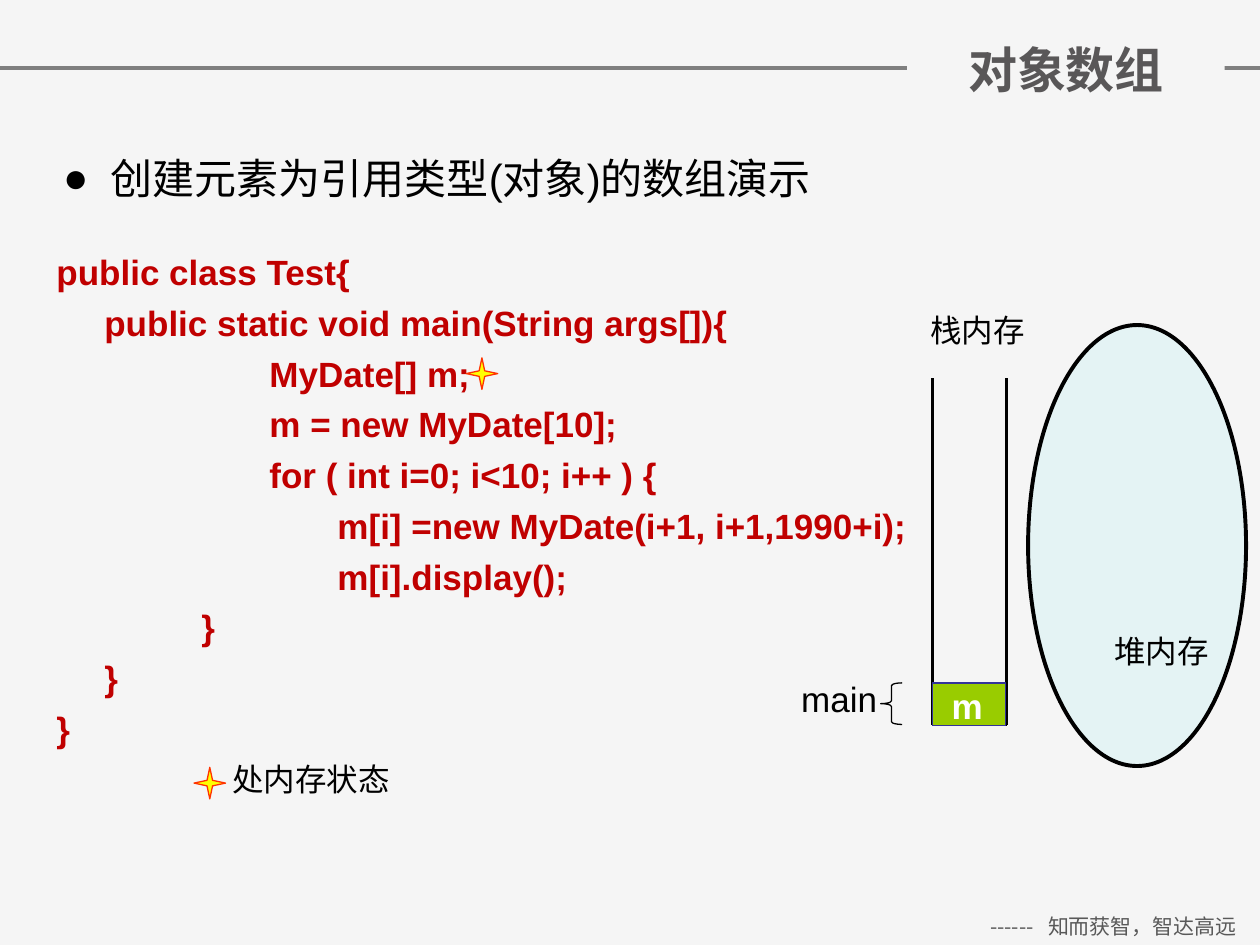
"""Build the object array slide with its code sample and memory diagram."""
import pptx
import pptx.dml.color
import pptx.enum.shapes
import pptx.enum.text
import pptx.oxml.ns
import pptx.util
from lxml import etree

Inches = pptx.util.Inches
Pt = pptx.util.Pt
RGBColor = pptx.dml.color.RGBColor
Shape = pptx.enum.shapes.MSO_SHAPE
Align = pptx.enum.text.PP_ALIGN
Anchor = pptx.enum.text.MSO_ANCHOR
qn = pptx.oxml.ns.qn

BACKGROUND = RGBColor(0xF5, 0xF5, 0xF5)
RULE_GREY = RGBColor(0x7F, 0x7F, 0x7F)
TITLE_GREY = RGBColor(0x59, 0x57, 0x58)
FOOTER_GREY = RGBColor(0x59, 0x59, 0x59)
BLACK = RGBColor(0, 0, 0)
WHITE = RGBColor(0xFF, 0xFF, 0xFF)
CODE_RED = RGBColor(0xC0, 0, 0)
FRAME_GREEN = RGBColor(0x99, 0xCC, 0)
FRAME_BLUE = RGBColor(0x33, 0x33, 0x99)
HEAP_BLUE = RGBColor(0xE4, 0xF3, 0xF4)
STAR_YELLOW = RGBColor(0xFF, 0xFF, 0)
STAR_RED = RGBColor(0xFF, 0x33, 0)

CHINESE = "Noto Sans CJK SC"
STACK_LEFT, STACK_RIGHT, STACK_TOP, STACK_BOTTOM = 7.4, 7.99, 3, 5.75
STAR_SIZE = 0.25

CODE = [
    (0.31, "public class Test{"),
    (0.69, "public static void main(String args[]){"),
    (2, "MyDate[] m;"),
    (2, "m = new MyDate[10];"),
    (2, "for ( int i=0; i<10; i++ ) {"),
    (2.54, "m[i] =new MyDate(i+1, i+1,1990+i);"),
    (2.54, "m[i].display();"),
    (1.46, "}"),
    (0.69, "}"),
    (0.31, "}"),
]


def write(para, text, size=18, color=BLACK, font="Arial", bold=False,
          align=Align.LEFT, before=0, margin=0, indent=0, bullet=None):
    """Put formatted text into a paragraph."""
    para.alignment = align
    para.space_before = Pt(before)
    span = para.add_run()
    span.text = text
    span.font.size = Pt(size)
    span.font.bold = bold
    span.font.color.rgb = color
    span.font.name = font
    etree.SubElement(span.font._element, qn("a:ea")).set("typeface", CHINESE)
    properties = para._p.get_or_add_pPr()
    properties.set("marL", str(Inches(margin)))
    properties.set("indent", str(Inches(indent)))
    if bullet:
        etree.SubElement(properties, qn("a:buChar")).set("char", bullet)
    else:
        etree.SubElement(properties, qn("a:buNone"))


def set_frame(box, inset=0.05, anchor=Anchor.TOP):
    """Set the insets and anchor of a box and return its first paragraph."""
    frame = box.text_frame
    frame.auto_size = pptx.enum.text.MSO_AUTO_SIZE.NONE
    frame.word_wrap = True
    frame.vertical_anchor = anchor
    frame.margin_left = frame.margin_right = Inches(0.1)
    frame.margin_top = frame.margin_bottom = Inches(inset)
    return frame.paragraphs[0]


def place(shape, left, top, width, height):
    """Move and size a placeholder."""
    shape.left, shape.top = Inches(left), Inches(top)
    shape.width, shape.height = Inches(width), Inches(height)


def add_label(page, text, left, top, width, height, inset=0.05, **style):
    """Add a one-paragraph text box."""
    box = page.shapes.add_textbox(*map(Inches, (left, top, width, height)))
    write(set_frame(box, inset), text, **style)


def add_code(page, lines, left, top, width, height):
    """Add a code listing with one indented paragraph per line."""
    box = page.shapes.add_textbox(*map(Inches, (left, top, width, height)))
    para = set_frame(box)
    for number, (margin, text) in enumerate(lines):
        if number:
            para = box.text_frame.add_paragraph()
        write(para, text, size=20, color=CODE_RED, bold=True, before=5, margin=margin)


def add_line(page, start, end, color=BLACK, width=1.5):
    """Add a straight line without a shadow."""
    line = page.shapes.add_connector(
        pptx.enum.shapes.MSO_CONNECTOR.STRAIGHT, *map(Inches, start + end))
    line.line.color.rgb = color
    line.line.width = Pt(width)
    etree.SubElement(line.element.spPr, qn("a:effectLst"))
    return line


def add_figure(page, kind, left, top, width, height, fill=None, color=BLACK, weight=0.75):
    """Add a preset shape with its fill and outline."""
    shape = page.shapes.add_shape(kind, *map(Inches, (left, top, width, height)))
    shape.shadow.inherit = False
    if fill is None:
        shape.fill.background()
    else:
        shape.fill.solid()
        shape.fill.fore_color.rgb = fill
    shape.line.color.rgb = color
    shape.line.width = Pt(weight)
    return shape


def add_star(page, left, top):
    """Add the star that marks a point in the code."""
    add_figure(page, Shape.STAR_4_POINT, left, top, STAR_SIZE, STAR_SIZE,
               fill=STAR_YELLOW, color=STAR_RED)


def add_heading(page):
    """Add the title over its rule, the bulleted topic and the footer."""
    rule = add_line(page, (0, 0.54), (10, 0.54), color=RULE_GREY, width=2)
    rule.element.getparent().insert(2, rule.element)
    title = page.shapes.title
    place(title, 7.2, 0.26, 2.52, 0.57)
    title.fill.solid()
    title.fill.fore_color.rgb = BACKGROUND
    write(set_frame(title, anchor=Anchor.MIDDLE), "对象数组", size=28,
          color=TITLE_GREY, font=CHINESE, bold=True, align=Align.CENTER)
    topic = page.placeholders[1]
    place(topic, 0.4, 1.16, 6.8, 0.5)
    write(set_frame(topic), "创建元素为引用类型(对象)的数组演示",
          size=24, margin=0.38, indent=-0.38, bullet="●")
    add_label(page, "------\t知而获智，智达高远", 7.76, 7.2, 2.24, 0.3, size=12,
              color=FOOTER_GREY, font=CHINESE, margin=0.46, indent=-0.46)


def add_memory(page):
    """Add the stack with its frame and the heap."""
    for x in (STACK_LEFT, STACK_RIGHT):
        add_line(page, (x, STACK_TOP), (x, STACK_BOTTOM))
    add_line(page, (STACK_LEFT, STACK_BOTTOM), (STACK_RIGHT, STACK_BOTTOM))
    brace = add_figure(page, Shape.LEFT_BRACE, 6.99, 5.42, 0.17, 0.33)
    brace.adjustments[0] = 0.13
    add_label(page, "main", 6.06, 5.33, 1, 0.44, size=20, align=Align.RIGHT)
    add_label(page, "栈内存", 6.9, 2.42, 1.33, 0.4, align=Align.RIGHT)
    add_figure(page, Shape.RECTANGLE, STACK_LEFT, 5.42, 0.58, 0.34,
               fill=FRAME_GREEN, color=FRAME_BLUE)
    add_label(page, "m", STACK_LEFT, 5.43, 0.5, 0.33, inset=0, size=20,
              color=WHITE, bold=True, align=Align.RIGHT)
    add_figure(page, Shape.OVAL, 8.16, 2.58, 1.73, 3.5, fill=HEAP_BLUE, weight=2.25)
    add_label(page, "堆内存", 7.77, 4.97, 1.92, 0.4, align=Align.RIGHT)


def main():
    """Build and save the deck."""
    deck = pptx.Presentation()
    deck.slide_width, deck.slide_height = Inches(10), Inches(7.5)
    page = deck.slides.add_slide(deck.slide_layouts[1])
    page.background.fill.solid()
    page.background.fill.fore_color.rgb = BACKGROUND
    add_heading(page)
    add_code(page, CODE, 0.04, 1.94, 7.8, 4.06)
    add_memory(page)
    add_label(page, "处内存状态", 1.02, 6.03, 2.17, 0.3, inset=0, align=Align.RIGHT)
    add_star(page, 1.54, 6.09)
    add_star(page, 3.7, 2.84)
    deck.save("out.pptx")


if __name__ == "__main__":
    main()
